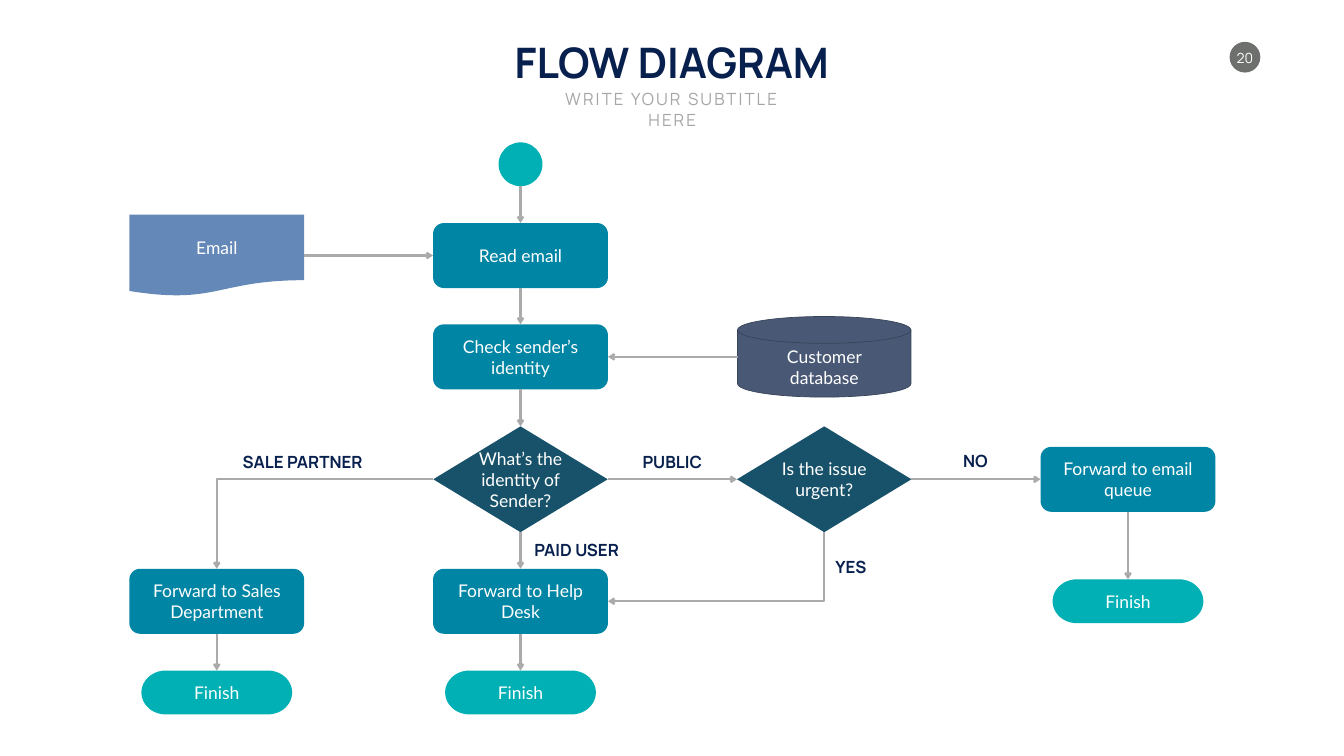
from lxml.etree import SubElement
from pptx import Presentation
from pptx.dml.color import RGBColor
from pptx.enum.shapes import MSO_CONNECTOR, MSO_SHAPE
from pptx.enum.text import MSO_ANCHOR, MSO_AUTO_SIZE, PP_ALIGN
from pptx.oxml.ns import qn
from pptx.util import Inches, Pt

# Content
COLORS = {
    "navy": "08204D", "grey": "A6A6A6", "line": "AAAAAA", "badge": "6D706D",
    "white": "FFFFFF", "process": "0085A4", "decision": "18526A", "end": "00B0B5",
    "document": "6488B7", "database": "495975", "database_edge": "374358",
}
COL_X = [4.3 + 6.025 * i for i in range(4)]
ROW_Y = {"start": 3.26, "read": 5.07, "check": 7.08, "decide": 9.51,
         "forward": 11.93, "finish": 13.74}

# kind: shape, width, height, label width, label shift down
KINDS = {
    "process": (MSO_SHAPE.FLOWCHART_ALTERNATE_PROCESS, 3.47, 1.29, 2.99, 0),
    "decision": (MSO_SHAPE.FLOWCHART_DECISION, 3.46, 2.1, 2.07, 0),
    "end": (MSO_SHAPE.FLOWCHART_TERMINATOR, 2.99, 0.87, 2.54, 0),
    "start": (MSO_SHAPE.FLOWCHART_CONNECTOR, 0.87, 0.87, 0, 0),
    "document": (MSO_SHAPE.FLOWCHART_DOCUMENT, 3.47, 1.62, 2.99, -0.15),
    "database": (MSO_SHAPE.FLOWCHART_MAGNETIC_DISK, 3.44, 1.6, 2.99, 0.21),
}
# name: kind, column, row, label, label lines
NODES = {
    "start": ("start", 1, "start", "", 0),
    "email": ("document", 0, "read", "Email", 1),
    "read": ("process", 1, "read", "Read email", 1),
    "check": ("process", 1, "check", "Check sender’s identity", 2),
    "database": ("database", 2, "check", "Customer database", 2),
    "sender": ("decision", 1, "decide", "What’s the identity of Sender?", 3),
    "urgent": ("decision", 2, "decide", "Is the issue urgent?", 2),
    "queue": ("process", 3, "decide", "Forward to email queue", 2),
    "sales": ("process", 0, "forward", "Forward to Sales Department", 2),
    "help": ("process", 1, "forward", "Forward to Help Desk", 2),
    "queue_end": ("end", 3, "forward", "Finish", 1),
    "sales_end": ("end", 0, "finish", "Finish", 1),
    "help_end": ("end", 1, "finish", "Finish", 1),
}
TOP, LEFT, BOTTOM, RIGHT = range(4)
FLOWS = [
    ("start", BOTTOM, "read", TOP), ("read", BOTTOM, "check", TOP),
    ("check", BOTTOM, "sender", TOP), ("sender", BOTTOM, "help", TOP),
    ("help", BOTTOM, "help_end", TOP), ("sender", RIGHT, "urgent", LEFT),
    ("urgent", RIGHT, "queue", LEFT), ("sender", LEFT, "sales", TOP),
    ("sales", BOTTOM, "sales_end", TOP), ("urgent", BOTTOM, "help", RIGHT),
    ("queue", BOTTOM, "queue_end", TOP), ("database", LEFT, "check", RIGHT),
    ("email", RIGHT, "read", LEFT),
]
# branch label, left, top, width, alignment
BRANCHES = [
    ("SALE PARTNER", 4.69, 8.92, 2.6, PP_ALIGN.RIGHT),
    ("PUBLIC", 12.64, 8.92, 1.39, PP_ALIGN.CENTER),
    ("PAID USER", 10.5, 10.66, 1.92, PP_ALIGN.LEFT),
    ("YES", 16.47, 11, 0.82, PP_ALIGN.LEFT),
    ("NO", 18.99, 8.89, 0.72, PP_ALIGN.CENTER),
]

prs = Presentation()
prs.slide_width, prs.slide_height = Inches(26.66), Inches(15)
s = prs.slides.add_slide(prs.slide_layouts[6])


def rgb(name):
    return RGBColor.from_string(COLORS[name])


def add_text(text, x, y, w, h, size, font, color, bold=False, align=PP_ALIGN.CENTER,
             anchor=MSO_ANCHOR.TOP, wrap=False, spacing=0, inset=None):
    tf = s.shapes.add_textbox(Inches(x), Inches(y), Inches(w), Inches(h)).text_frame
    tf.word_wrap, tf.vertical_anchor = wrap, anchor
    tf.auto_size = MSO_AUTO_SIZE.SHAPE_TO_FIT_TEXT
    if inset is not None:
        tf.margin_left = tf.margin_right = tf.margin_top = tf.margin_bottom = Inches(inset)
    p = tf.paragraphs[0]
    p.alignment = align
    r = p.add_run()
    r.text = text
    r.font.size, r.font.name, r.font.bold = Pt(size), font, bold
    r.font.color.rgb = rgb(color)
    if spacing:
        r.font._element.set("spc", str(spacing * 100))


def add_shape(kind, x, y, w, h, fill, edge=None):
    sp = s.shapes.add_shape(kind, Inches(x), Inches(y), Inches(w), Inches(h))
    sp.shadow.inherit = False
    sp.fill.solid()
    sp.fill.fore_color.rgb = rgb(fill)
    if edge:
        sp.line.color.rgb, sp.line.width = rgb(edge), Pt(1)
    else:
        sp.line.fill.background()
    return sp


def side_point(sp, side):
    fx, fy = [(0.5, 0), (0, 0.5), (0.5, 1), (1, 0.5)][side]
    return int(sp.left + sp.width * fx), int(sp.top + sp.height * fy)


def add_flow(source, out, target, into):
    a, b = shapes[source], shapes[target]
    (x1, y1), (x2, y2) = side_point(a, out), side_point(b, into)
    bent = (out - into) % 2 == 1
    kind = MSO_CONNECTOR.ELBOW if bent else MSO_CONNECTOR.STRAIGHT
    c = s.shapes.add_connector(kind, x1, y1, x2, y2)
    # The circle and the disk number their connection sites differently
    if source not in ("start", "database"):
        c.begin_connect(a, out)
    c.end_connect(b, into)
    c.line.color.rgb, c.line.width = rgb("line"), Pt(3)
    spPr = c._element.spPr
    SubElement(spPr.find(qn("a:ln")), qn("a:tailEnd"), type="arrow")
    SubElement(spPr, qn("a:effectLst"))
    if bent:
        spPr.find(qn("a:prstGeom")).set("prst", "bentConnector2")
        if out == BOTTOM:
            # Down first, then left: a quarter turn of the single-bend connector
            w, h = y2 - y1, x1 - x2
            c.left, c.top = (x1 + x2 - w) // 2, (y1 + y2 - h) // 2
            c.width, c.height = w, h
            xfrm = spPr.find(qn("a:xfrm"))
            xfrm.attrib.pop("flipH", None)
            xfrm.set("rot", str(90 * 60000))


# Page number and headings
add_shape(MSO_SHAPE.OVAL, 24.39, 0.83, 0.61, 0.61, "badge")
add_text("20", 24.49, 0.97, 0.41, 0.34, 20, "Manrope", "white",
         anchor=MSO_ANCHOR.MIDDLE, inset=0)
add_text("FLOW DIAGRAM", 9.9, 0.67, 6.85, 1.11, 60, "Manrope", "navy", bold=True)
add_text("WRITE YOUR SUBTITLE HERE", 10.62, 1.72, 5.43, 0.5, 24, "Manrope", "grey",
         wrap=True, spacing=3)

# Nodes with their labels
shapes = {}
for name, (kind, col, row, label, lines) in NODES.items():
    preset, w, h, label_w, shift = KINDS[kind]
    cx, cy = COL_X[col], ROW_Y[row]
    shapes[name] = add_shape(preset, cx - w / 2, cy - h / 2, w, h,
                             "end" if kind == "start" else kind,
                             "database_edge" if kind == "database" else None)
    if label:
        label_h = 0.1 + 0.42 * lines
        add_text(label, cx - label_w / 2, cy + shift - label_h / 2, label_w, label_h,
                 25, "Lato", "white", anchor=MSO_ANCHOR.MIDDLE, wrap=True)

# Arrows and branch labels
for flow in FLOWS:
    add_flow(*flow)
for text, x, y, w, align in BRANCHES:
    add_text(text, x, y, w, 0.5, 24, "Manrope", "navy", bold=True, align=align)

prs.save("out.pptx")
